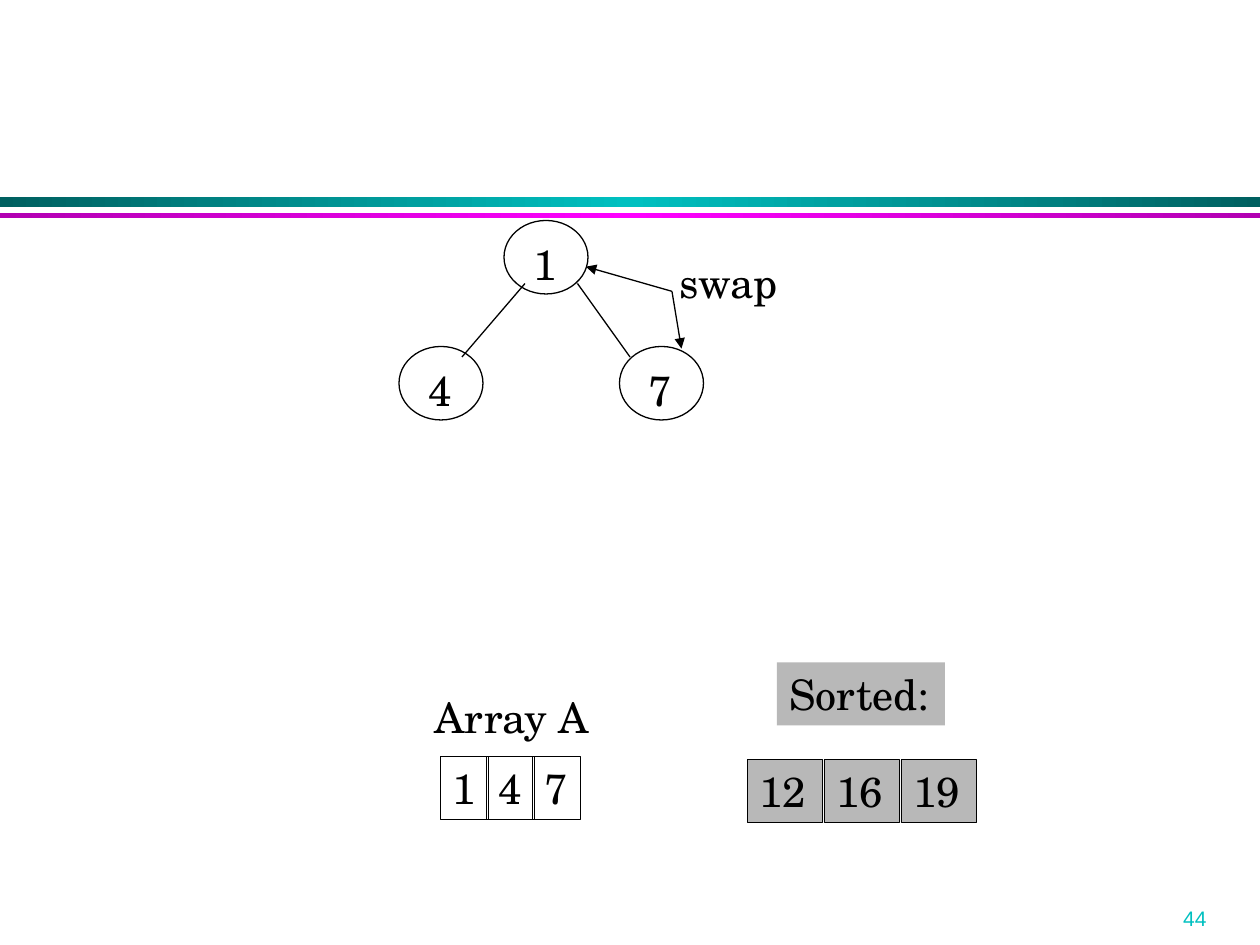
from copy import deepcopy

from lxml import etree
from pptx import Presentation
from pptx.dml.color import RGBColor
from pptx.enum.shapes import MSO_CONNECTOR, MSO_SHAPE
from pptx.enum.text import MSO_ANCHOR, PP_ALIGN
from pptx.oxml.ns import qn
from pptx.util import Inches, Pt

OVAL = MSO_SHAPE.OVAL
RECTANGLE = MSO_SHAPE.RECTANGLE
STRAIGHT = MSO_CONNECTOR.STRAIGHT
LEFT = PP_ALIGN.LEFT
TOP = MSO_ANCHOR.TOP

BLACK = RGBColor(0x00, 0x00, 0x00)
GRAY = RGBColor(0xB8, 0xB8, 0xB8)
TEAL = RGBColor(0x00, 0xC0, 0xC0)
DARK_TEAL = RGBColor(0x00, 0x60, 0x60)
MAGENTA = RGBColor(0xFF, 0x00, 0xFF)
DARK_MAGENTA = RGBColor(0xB2, 0x00, 0xB2)

COLUMNS, ROWS = 120, 90
TEXT_ROWS = 6


class HeapSlide:
    def __init__(self, presentation):
        self.column = presentation.slide_width / COLUMNS
        self.row = presentation.slide_height / ROWS
        self.slide = presentation.slides.add_slide(presentation.slide_layouts[6])
        self.font_name = "TeX Gyre Schola"
        self.font_size = 24

    def place(self, left, top, width, height):
        return (round(left * self.column), round(top * self.row),
                round(width * self.column), round(height * self.row))

    def set_text(self, shape, text, wrap, name=None, size=None, color=BLACK):
        text_frame = shape.text_frame
        text_frame.word_wrap = wrap
        text_frame.vertical_anchor = TOP
        text_frame.text = text
        paragraph = text_frame.paragraphs[0]
        paragraph.alignment = LEFT
        font = paragraph.runs[0].font
        font.name = name or self.font_name
        font.size = Pt(size or self.font_size)
        font.color.rgb = color

    def shape(self, kind, box, fill=None, line_width=None):
        shape = self.slide.shapes.add_shape(kind, *self.place(*box))
        shape.shadow.inherit = False
        if fill is None:
            shape.fill.background()
        else:
            shape.fill.solid()
            shape.fill.fore_color.rgb = fill
        if line_width is None:
            shape.line.fill.background()
        else:
            shape.line.color.rgb = BLACK
            shape.line.width = Pt(line_width)
        return shape

    def band(self, top, height, edge, middle):
        shape = self.shape(RECTANGLE, (0, top, COLUMNS, height))
        shape.fill.gradient()
        shape.fill.gradient_angle = 0
        stop_list = shape._element.spPr.find(".//" + qn("a:gsLst"))
        stop_list.insert(1, deepcopy(stop_list[0]))
        colors = (edge, middle, edge)
        for index, stop in enumerate(shape.fill.gradient_stops):
            stop.position = index / 2
            stop.color.rgb = colors[index]

    def label(self, text, left, top, width, height=TEXT_ROWS, wrap=False, **style):
        box = self.slide.shapes.add_textbox(*self.place(left, top, width, height))
        self.set_text(box, text, wrap, **style)

    def node(self, text, left, top):
        self.shape(OVAL, (left, top, 8, 7), line_width=0.75)
        self.label(text, left + 1.6, top + 1.1, 4.56)

    def filled_label(self, text, left, top, width):
        shape = self.shape(RECTANGLE, (left, top, width, TEXT_ROWS), GRAY)
        self.set_text(shape, text, True)

    def cells(self, values, left, top, step, width, fill=None, wrap=False):
        for index, value in enumerate(values):
            box = (left + index * step, top, width, TEXT_ROWS)
            self.set_text(self.shape(RECTANGLE, box, fill, 0.25), value, wrap)

    def line(self, start, end, arrow=False):
        connector = self.slide.shapes.add_connector(
            STRAIGHT, *self.place(*start, *end))
        connector.line.color.rgb = BLACK
        connector.line.width = Pt(0.75)
        properties = connector._element.spPr
        etree.SubElement(properties, qn("a:effectLst"))
        if arrow:
            outline = properties.find(qn("a:ln"))
            etree.SubElement(outline, qn("a:tailEnd"), type="triangle")


def main():
    presentation = Presentation()
    presentation.slide_width = Inches(10)
    presentation.slide_height = Inches(7.5)
    heap = HeapSlide(presentation)

    heap.band(18.75, 1, DARK_TEAL, TEAL)
    heap.band(20.3, 0.5, DARK_MAGENTA, MAGENTA)
    heap.label("44", 111.5, 85.7, 11.5, 3.6, wrap=True,
               name="Arial", size=12, color=TEAL)

    for text, left, top in (("1", 48, 21), ("4", 38, 33), ("7", 59, 33)):
        heap.node(text, left, top)
    heap.line((50, 27), (44, 34))
    heap.line((55, 27), (60, 34))

    heap.cells(("12", "16", "19"), 71.15, 72.35, 7.32, 7.2, GRAY, wrap=True)
    heap.cells(("1", "4", "7"), 41.9, 72, 4.4, 4.56)
    heap.label("Array A", 40.2, 65.3, 17.2)
    heap.filled_label("Sorted:", 74, 63.1, 16)

    swap_point = (64, 27.75)
    for target in ((64.9, 33.2), (55.8, 25.4)):
        heap.line(swap_point, target, arrow=True)
    heap.label("swap", 63.5, 23.8, 11.9)

    presentation.save("out.pptx")


if __name__ == "__main__":
    main()
